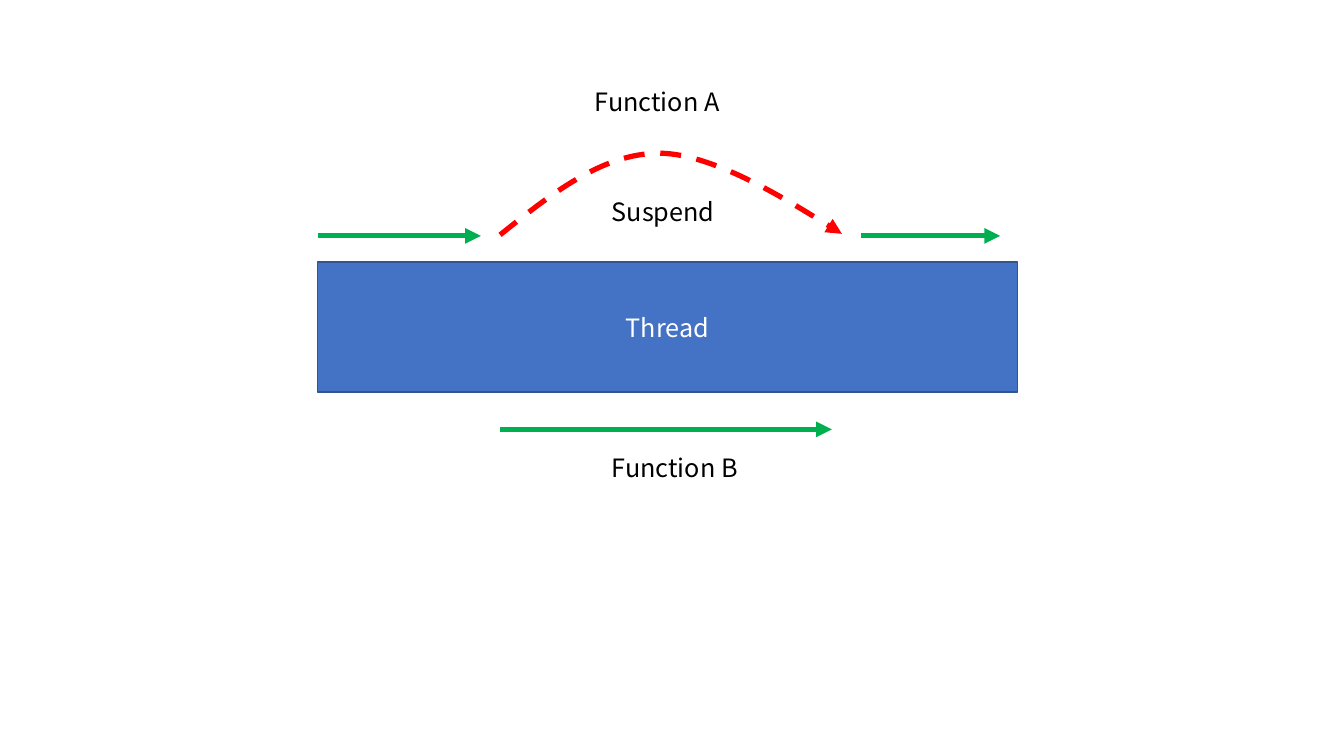
import dataclasses
import pptx
import pptx.dml.color
import pptx.enum.dml
import pptx.enum.shapes
import pptx.enum.text
import pptx.oxml.ns
import pptx.oxml.xmlchemy
import pptx.util

Inches = pptx.util.Inches
Color = pptx.dml.color.RGBColor
Dash = pptx.enum.dml.MSO_LINE
Align = pptx.enum.text.PP_ALIGN
qn = pptx.oxml.ns.qn
make = pptx.oxml.xmlchemy.OxmlElement

FONT = "Noto Sans CJK KR"
BLUE = Color(0x44, 0x72, 0xC4)
NAVY = Color(0x32, 0x54, 0x91)
GREEN = Color(0x00, 0xB0, 0x50)
RED = Color(0xFF, 0x00, 0x00)
BLACK = Color(0x00, 0x00, 0x00)
WHITE = Color(0xFF, 0xFF, 0xFF)


@dataclasses.dataclass
class Run:
    start: float
    end: float
    y: float


@dataclasses.dataclass
class Label:
    text: str
    x: float
    y: float


RUNS = [Run(3.15, 4.77, 2.34), Run(4.96, 8.25, 4.26), Run(8.54, 9.92, 2.34)]
LABELS = [
    Label("Suspend", 5.97, 1.9),
    Label("Function A", 5.8, 0.81),
    Label("Function B", 5.97, 4.44),
]
CURVE = [
    (4.96, 2.33),
    (5.46, 1.93), (5.97, 1.52), (6.54, 1.52),
    (7.1, 1.52), (8.35, 2.32), (8.35, 2.32),
]


def write(frame, text: str, *, color=BLACK, size=18, align=Align.LEFT) -> None:
    para = frame.paragraphs[0]
    para.alignment = align
    run = para.add_run()
    run.text = text
    run.font.name = FONT
    run.font.size = pptx.util.Pt(size)
    run.font.color.rgb = color


def stroke(shape, color, dash=None) -> None:
    shape.line.color.rgb = color
    shape.line.width = pptx.util.Pt(3.75)
    if dash is not None:
        shape.line.dash_style = dash
    props = shape.element.spPr
    tail = make("a:tailEnd")
    tail.set("type", "triangle")
    props.find(qn("a:ln")).append(tail)
    props.append(make("a:effectLst"))


def draw_thread(shapes) -> None:
    thread = shapes.add_shape(
        pptx.enum.shapes.MSO_SHAPE.RECTANGLE,
        Inches(3.15), Inches(2.6), Inches(6.94), Inches(1.29),
    )
    thread.shadow.inherit = False
    thread.fill.solid()
    thread.fill.fore_color.rgb = BLUE
    thread.line.color.rgb = NAVY
    thread.line.width = pptx.util.Pt(1)
    thread.text_frame.vertical_anchor = pptx.enum.text.MSO_ANCHOR.MIDDLE
    write(thread.text_frame, "Thread", color=WHITE, align=Align.CENTER)


def draw_run(shapes, run: Run) -> None:
    arrow = shapes.add_connector(
        pptx.enum.shapes.MSO_CONNECTOR.STRAIGHT,
        Inches(run.start), Inches(run.y), Inches(run.end), Inches(run.y),
    )
    stroke(arrow, GREEN)


def draw_label(shapes, label: Label) -> None:
    box = shapes.add_textbox(
        Inches(label.x), Inches(label.y), Inches(3.06), Inches(0.4)
    )
    box.text_frame.word_wrap = True
    box.text_frame.auto_size = pptx.enum.text.MSO_AUTO_SIZE.SHAPE_TO_FIT_TEXT
    write(box.text_frame, label.text)


def draw_curve(shapes) -> None:
    points = [(Inches(x), Inches(y)) for x, y in CURVE]
    form = shapes.build_freeform(*points[0])
    form.add_line_segments(points[1:], close=False)
    curve = form.convert_to_shape()
    legs = list(curve.element.iter(qn("a:lnTo")))
    for first in range(0, len(legs), 3):
        bend = make("a:cubicBezTo")
        legs[first].addprevious(bend)
        for leg in legs[first:first + 3]:
            bend.append(leg[0])
            leg.getparent().remove(leg)
    curve.fill.background()
    stroke(curve, RED, Dash.DASH)


def main() -> None:
    deck = pptx.Presentation()
    deck.slide_width = Inches(13.33)
    deck.slide_height = Inches(7.5)
    shapes = deck.slides.add_slide(deck.slide_layouts[6]).shapes
    draw_thread(shapes)
    for run in RUNS:
        draw_run(shapes, run)
    for label in LABELS:
        draw_label(shapes, label)
    draw_curve(shapes)
    deck.save("out.pptx")


main()
